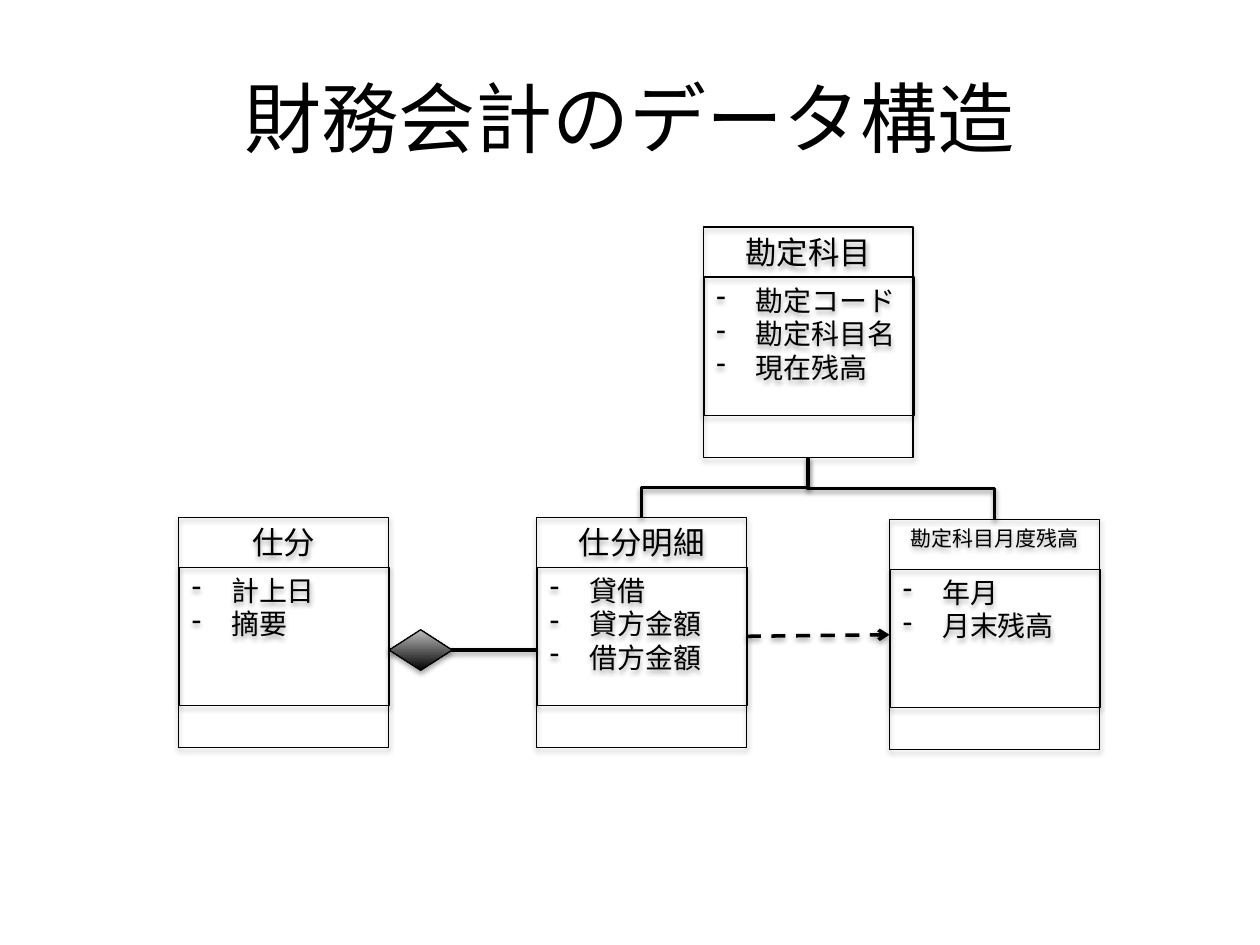
from dataclasses import dataclass

from lxml.etree import SubElement
from pptx import Presentation
from pptx.dml.color import RGBColor
from pptx.enum.dml import MSO_LINE_DASH_STYLE as Dash
from pptx.enum.shapes import MSO_CONNECTOR as Connector, MSO_SHAPE as Shape
from pptx.enum.text import MSO_ANCHOR as Anchor, PP_ALIGN as Align
from pptx.oxml.ns import qn
from pptx.util import Pt

COLORS = {"ink": "000000", "silver": "BDBDBD"}
FONT = "Calibri"
BOX_WIDTH, BOX_HEIGHT = 120, 131.7
FIELDS_OFFSET, FIELDS_HEIGHT = 28.5, 79.2
INDENT = 22.5


@dataclass(frozen=True)
class Entity:
    name: str
    left: float
    top: float
    fields: tuple[str, ...]
    name_size: float = 18

    @property
    def center(self) -> float:
        return self.left + BOX_WIDTH / 2

    @property
    def right(self) -> float:
        return self.left + BOX_WIDTH


JOURNAL = Entity("仕分", 102, 295.6, ("計上日", "摘要"))
DETAIL = Entity("仕分明細", 306.7, 295.6, ("貸借", "貸方金額", "借方金額"))
BALANCE = Entity("勘定科目月度残高", 508.3, 296.8, ("年月", "月末残高"), 12)
ACCOUNT = Entity("勘定科目", 401.8, 129.8, ("勘定コード", "勘定科目名", "現在残高"))


def color(name: str) -> RGBColor:
    return RGBColor.from_string(COLORS[name])


def add_shadow(shape, distance: float, opacity: int) -> None:
    """Append a soft shadow that falls straight down."""
    effects = SubElement(shape.element.spPr, qn("a:effectLst"))
    shadow = SubElement(effects, qn("a:outerShdw"), blurRad=str(Pt(3.1)),
                        dist=str(Pt(distance)), dir="5400000", rotWithShape="0")
    ink = SubElement(shadow, qn("a:srgbClr"), val=COLORS["ink"])
    SubElement(ink, qn("a:alpha"), val=str(opacity * 1000))


def add_text(paragraph, text: str, size: float) -> None:
    run = paragraph.add_run()
    run.text = text
    run.font.name = FONT
    run.font.size = Pt(size)
    run.font.color.rgb = color("ink")


def add_outline(slide, kind, left: float, top: float, width: float, height: float):
    shape = slide.shapes.add_shape(kind, Pt(left), Pt(top), Pt(width), Pt(height))
    shape.fill.background()
    shape.line.color.rgb = color("ink")
    shape.line.width = Pt(0.75)
    add_shadow(shape, 1.8, 35)
    shape.text_frame.word_wrap = True
    shape.text_frame.vertical_anchor = Anchor.TOP
    return shape


def add_entity(slide, entity: Entity) -> None:
    frame = add_outline(slide, Shape.RECTANGLE, entity.left, entity.top,
                        BOX_WIDTH, BOX_HEIGHT).text_frame
    frame.paragraphs[0].alignment = Align.CENTER
    add_text(frame.paragraphs[0], entity.name, entity.name_size)

    frame = add_outline(slide, Shape.RECTANGLE, entity.left + 0.5,
                        entity.top + FIELDS_OFFSET, BOX_WIDTH, FIELDS_HEIGHT).text_frame
    for index, field in enumerate(entity.fields):
        paragraph = frame.add_paragraph() if index else frame.paragraphs[0]
        paragraph.alignment = Align.LEFT
        properties = paragraph._p.get_or_add_pPr()
        properties.set("marL", str(Pt(INDENT)))
        properties.set("indent", str(Pt(-INDENT)))
        SubElement(properties, qn("a:buChar"), char="-")
        add_text(paragraph, field, 16)


def add_line(slide, kind, x1: float, y1: float, x2: float, y2: float,
             dashed_arrow: bool = False):
    line = slide.shapes.add_connector(kind, Pt(x1), Pt(y1), Pt(x2), Pt(y2))
    line.line.color.rgb = color("ink")
    line.line.width = Pt(2)
    if dashed_arrow:
        line.line.dash_style = Dash.DASH
        SubElement(line.line._get_or_add_ln(), qn("a:tailEnd"), type="arrow")
    add_shadow(line, 1.6, 38)
    return line


def add_branch(slide, parent: Entity, child: Entity) -> None:
    """Join two entities with an elbow turned to leave the parent downwards."""
    start = parent.top + BOX_HEIGHT
    drop, run = child.top - start, child.center - parent.center
    middle_x, middle_y = parent.center + run / 2, start + drop / 2
    half_width = drop / 2 if run > 0 else -drop / 2
    half_height = abs(run) / 2
    branch = add_line(slide, Connector.ELBOW, middle_x + half_width, middle_y - half_height,
                      middle_x - half_width, middle_y + half_height)
    degrees = 270 if run > 0 else 90
    branch.element.spPr.find(qn("a:xfrm")).set("rot", str(degrees * 60000))


def add_title(slide, text: str) -> None:
    frame = slide.shapes.add_textbox(Pt(36), Pt(21.6), Pt(648), Pt(90)).text_frame
    frame.word_wrap = True
    frame.vertical_anchor = Anchor.MIDDLE
    frame.paragraphs[0].alignment = Align.CENTER
    add_text(frame.paragraphs[0], text, 44)


def add_diamond(slide, left: float, middle: float) -> None:
    width, height = 36, 23.2
    diamond = add_outline(slide, Shape.FLOWCHART_DECISION, left, middle - height / 2,
                          width, height)
    diamond.fill.gradient()
    diamond.fill.gradient_angle = 90
    for stop, name in zip(diamond.fill.gradient_stops, ("ink", "silver")):
        stop.color.rgb = color(name)


def main() -> None:
    presentation = Presentation()
    presentation.slide_width, presentation.slide_height = Pt(720), Pt(540)
    slide = presentation.slides.add_slide(presentation.slide_layouts[6])
    add_title(slide, "財務会計のデータ構造")
    for entity in (JOURNAL, DETAIL, BALANCE, ACCOUNT):
        add_entity(slide, entity)
    for child in (DETAIL, BALANCE):
        add_branch(slide, ACCOUNT, child)
    add_line(slide, Connector.STRAIGHT, JOURNAL.right, 371.5, DETAIL.left, 371.5)
    add_diamond(slide, JOURNAL.right + 0.4, 371.5)
    add_line(slide, Connector.STRAIGHT, DETAIL.right, 363.6, BALANCE.left, 362.7, True)
    presentation.save("out.pptx")


if __name__ == "__main__":
    main()
